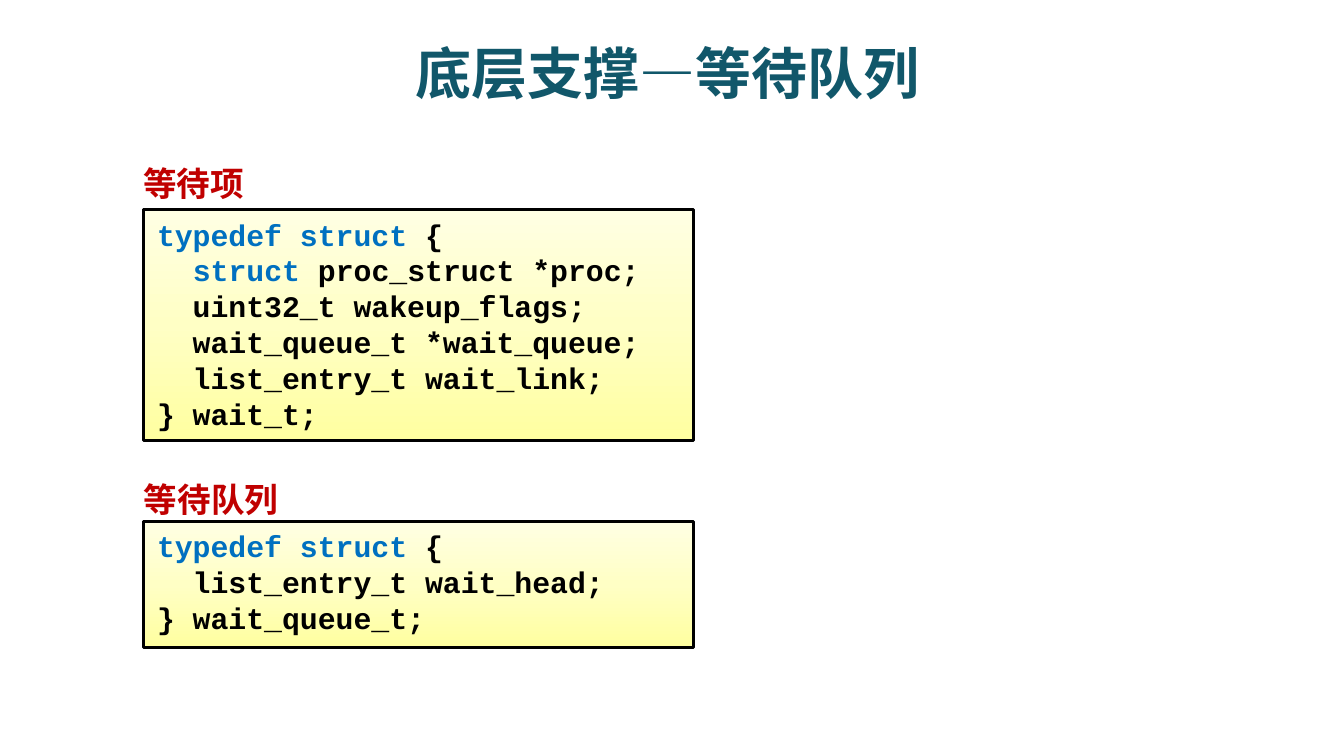
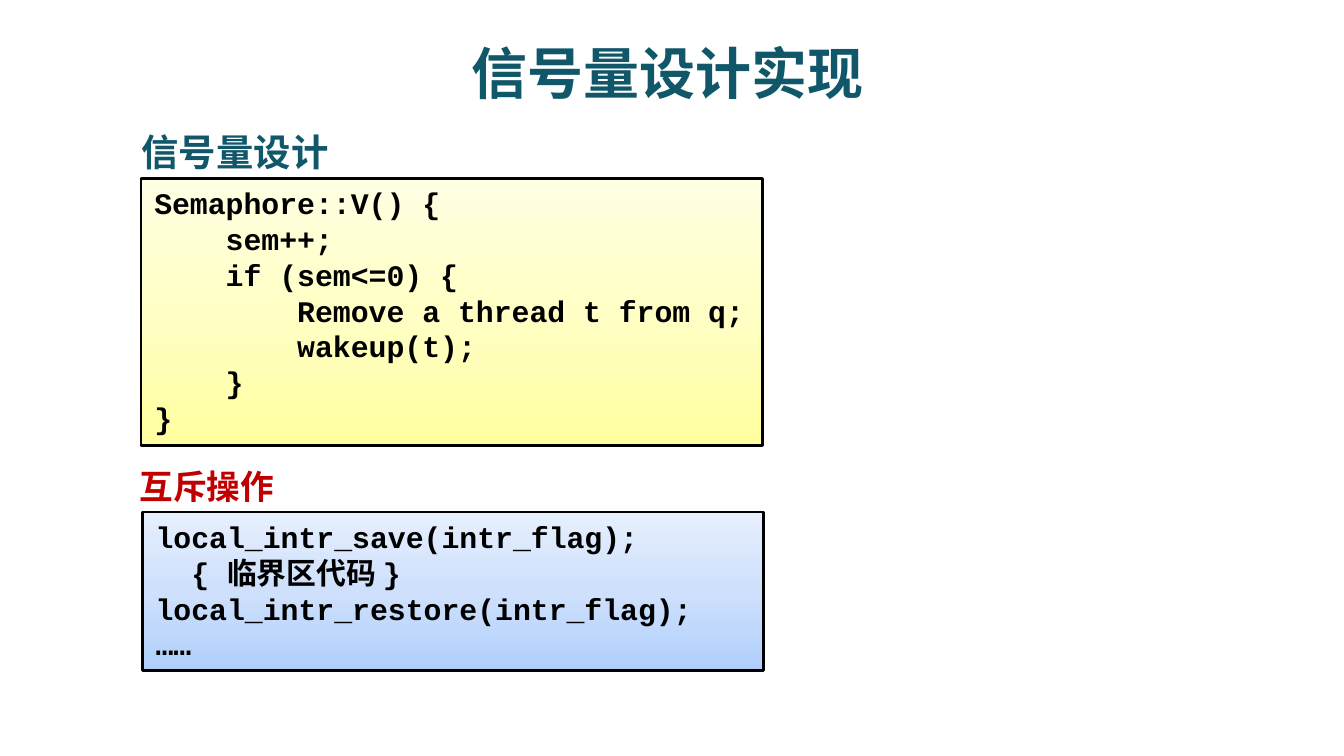
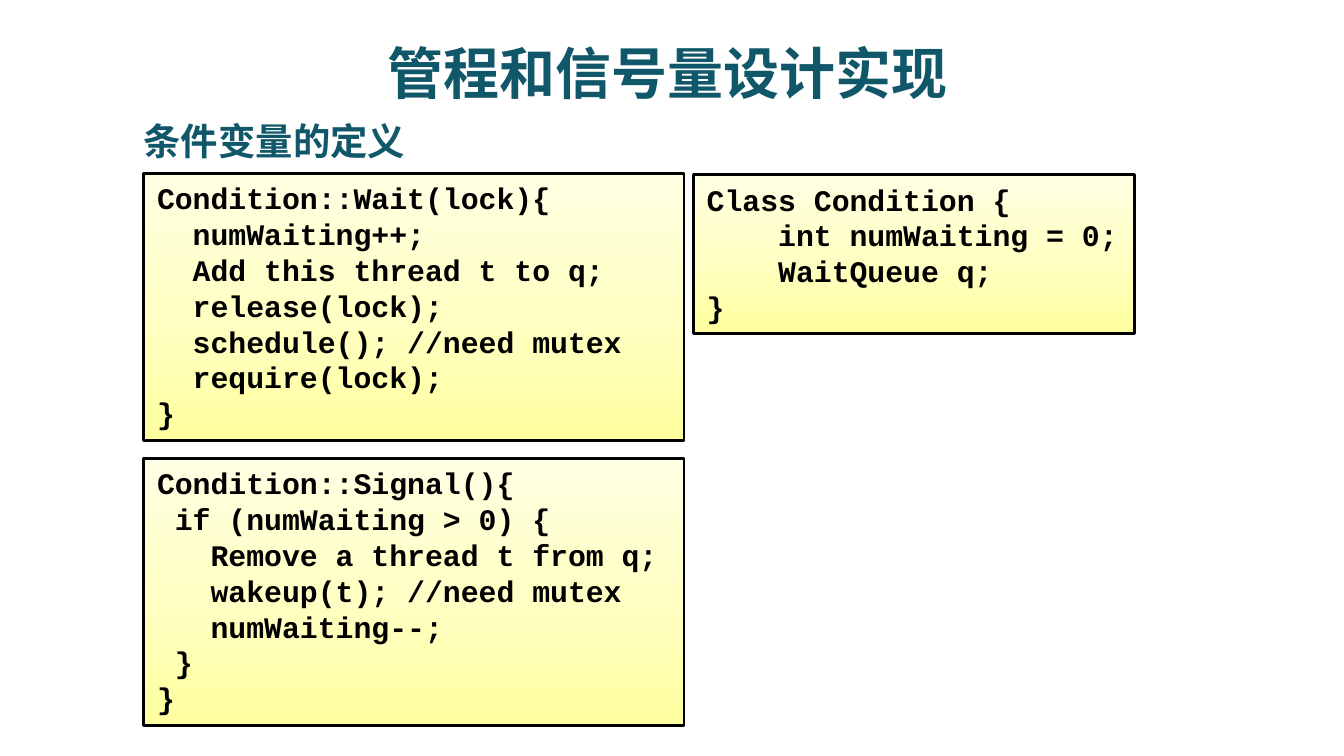
import copy
from dataclasses import dataclass

import pptx
import pptx.dml.color
import pptx.enum.shapes
import pptx.enum.text
import pptx.oxml
import pptx.oxml.ns
import pptx.util

Align = pptx.enum.text.PP_ALIGN
Anchor = pptx.enum.text.MSO_ANCHOR
AutoSize = pptx.enum.text.MSO_AUTO_SIZE


@dataclass(frozen=True)
class Theme:
    # Colours; gradients run from bottom to top
    teal: str = "11576A"
    red: str = "C00000"
    blue: str = "0070C0"
    black: str = "000000"
    yellow_fill: tuple = ("FFFFA0", "FFFFC5", "FFFFE3")
    blue_fill: tuple = ("B0CFFB", "CEE0FC", "E6EFFD")
    # Type
    title_size: int = 30
    heading_size: int = 20
    caption_size: int = 18
    code_size: int = 16
    cjk: str = "Noto Sans CJK SC"
    cjk_label: str = "Noto Sans CJK JP"
    mono: str = "Courier New"
    # Code boxes
    border: float = 1.5
    keywords: tuple = ("typedef struct ", "struct ")


class Deck:
    """Holds the theme and the current slide; lengths are in grid cells."""

    COLS, ROWS = 100, 56.25  # square cells on a 16:9 slide
    LINE, PADDING = 2.7, 1  # grid rows per code line, and around the code

    def __init__(self, theme):
        self.theme = theme
        self.prs = pptx.Presentation()
        self.prs.slide_width = pptx.util.Inches(10)
        self.prs.slide_height = self.prs.slide_width * 9 // 16
        self.slide = None

    def place(self, col, row, cols, rows):
        x = self.prs.slide_width / self.COLS
        y = self.prs.slide_height / self.ROWS
        return [round(v) for v in (col * x, row * y, cols * x, rows * y)]

    def style(self, r, size, color, font, east_asian=None):
        r.font.size = pptx.util.Pt(size)
        r.font.bold = True
        r.font.name = font
        r.font.color.rgb = pptx.dml.color.RGBColor.from_string(color)
        ea = pptx.oxml.parse_xml(
            f'<a:ea {pptx.oxml.ns.nsdecls("a")} typeface="{east_asian or font}"/>')
        r.font._element.find(pptx.oxml.ns.qn("a:latin")).addnext(ea)

    def text(self, text, at, size, color, font, align, wrap=False):
        sp = self.slide.shapes.add_textbox(*self.place(*at))
        tf = sp.text_frame
        tf.word_wrap = wrap
        tf.text = text
        p = tf.paragraphs[0]
        p.alignment = align
        self.style(p.runs[0], size, color, font, self.theme.cjk)
        return tf

    def new_slide(self, title):
        self.slide = self.prs.slides.add_slide(self.prs.slide_layouts[6])
        t = self.theme
        tf = self.text(title, (4.7, 2.6, 90, 5.6), t.title_size, t.teal, t.cjk,
                       Align.CENTER, wrap=True)
        tf.vertical_anchor = Anchor.MIDDLE

    def heading(self, text, col, row, cols, font):
        t = self.theme
        self.text(text, (col, row, cols, 4.4), t.heading_size, t.teal, font, Align.LEFT)

    def caption(self, text, col, row, cols, font):
        t = self.theme
        self.text(text, (col, row, cols, 4), t.caption_size, t.red, font, Align.CENTER)

    def gradient(self, fill, colors):
        fill.gradient()
        fill.gradient_angle = 90
        first = fill.gradient_stops[0]._gs
        first.addnext(copy.deepcopy(first))
        for i, (stop, color) in enumerate(zip(fill.gradient_stops, colors)):
            stop.position = i / (len(colors) - 1)
            stop.color.rgb = pptx.dml.color.RGBColor.from_string(color)

    def code(self, source, col, row, cols, lines=None, colors=None):
        t = self.theme
        code_lines = source.strip("\n").split("\n")
        rows = (lines or len(code_lines)) * self.LINE + self.PADDING
        sp = self.slide.shapes.add_shape(
            pptx.enum.shapes.MSO_SHAPE.RECTANGLE, *self.place(col, row, cols, rows))
        sp.shadow.inherit = False
        self.gradient(sp.fill, colors or t.yellow_fill)
        sp.line.color.rgb = pptx.dml.color.RGBColor.from_string(t.black)
        sp.line.width = pptx.util.Pt(t.border)
        tf = sp.text_frame
        tf.word_wrap = True
        tf.auto_size = AutoSize.SHAPE_TO_FIT_TEXT
        tf.vertical_anchor = Anchor.TOP
        for i, line in enumerate(code_lines):
            p = tf.add_paragraph() if i else tf.paragraphs[0]
            p.alignment = Align.LEFT
            keyword = next((k for k in t.keywords if k in line), None)
            for part in line.partition(keyword) if keyword else (line,):
                if part:
                    r = p.add_run()
                    r.text = part
                    color = t.blue if part == keyword else t.black
                    self.style(r, t.code_size, color, t.mono, t.cjk)


WAIT_ITEM = """
typedef struct {
  struct proc_struct *proc;
  uint32_t wakeup_flags;
  wait_queue_t *wait_queue;
  list_entry_t wait_link;
} wait_t;
"""

WAIT_QUEUE = """
typedef struct {
  list_entry_t wait_head;
} wait_queue_t;
"""

SEMAPHORE_V = """
Semaphore::V() {
    sem++;
    if (sem<=0) {
        Remove a thread t from q;
        wakeup(t);
    }
}
"""

CRITICAL_SECTION = """
local_intr_save(intr_flag);
  { 临界区代码 } local_intr_restore(intr_flag);
……
"""

CONDITION_WAIT = """
Condition::Wait(lock){
  numWaiting++;
  Add this thread t to q;
  release(lock);
  schedule(); //need mutex
  require(lock);
}
"""

CONDITION_SIGNAL = """
Condition::Signal(){
 if (numWaiting > 0) {
   Remove a thread t from q;
   wakeup(t); //need mutex
   numWaiting--;
 }
}
"""

CONDITION_CLASS = """
Class Condition {
    int numWaiting = 0;
    WaitQueue q;
}
"""


def main():
    theme = Theme()
    deck = Deck(theme)

    # Wait queues
    deck.new_slide("底层支撑—等待队列")
    deck.code(WAIT_ITEM, 10.7, 15.6, 40.9)
    deck.caption("等待项", 9.6, 11.6, 9.6, theme.cjk_label)
    deck.code(WAIT_QUEUE, 10.7, 38.8, 40.9, lines=3.1)
    deck.caption("等待队列", 9.65, 35.15, 12.1, theme.cjk_label)

    # Semaphore
    deck.new_slide("信号量设计实现")
    deck.code(SEMAPHORE_V, 10.5, 13.25, 46.25)
    deck.code(CRITICAL_SECTION, 10.6, 38.1, 46.2, lines=4, colors=theme.blue_fill)
    deck.caption("互斥操作", 6.55, 34.2, 17.7, theme.cjk)
    deck.heading("信号量设计", 9.55, 9.1, 16, theme.cjk_label)

    # Condition variables
    deck.new_slide("管程和信号量设计实现")
    deck.heading("条件变量的定义", 9.7, 8.3, 21.7, "Arial")
    deck.code(CONDITION_WAIT, 10.7, 12.9, 40.2)
    deck.code(CONDITION_SIGNAL, 10.7, 34.1, 40.2)
    deck.code(CONDITION_CLASS, 51.6, 13, 32.8)

    deck.prs.save("out.pptx")


if __name__ == "__main__":
    main()
